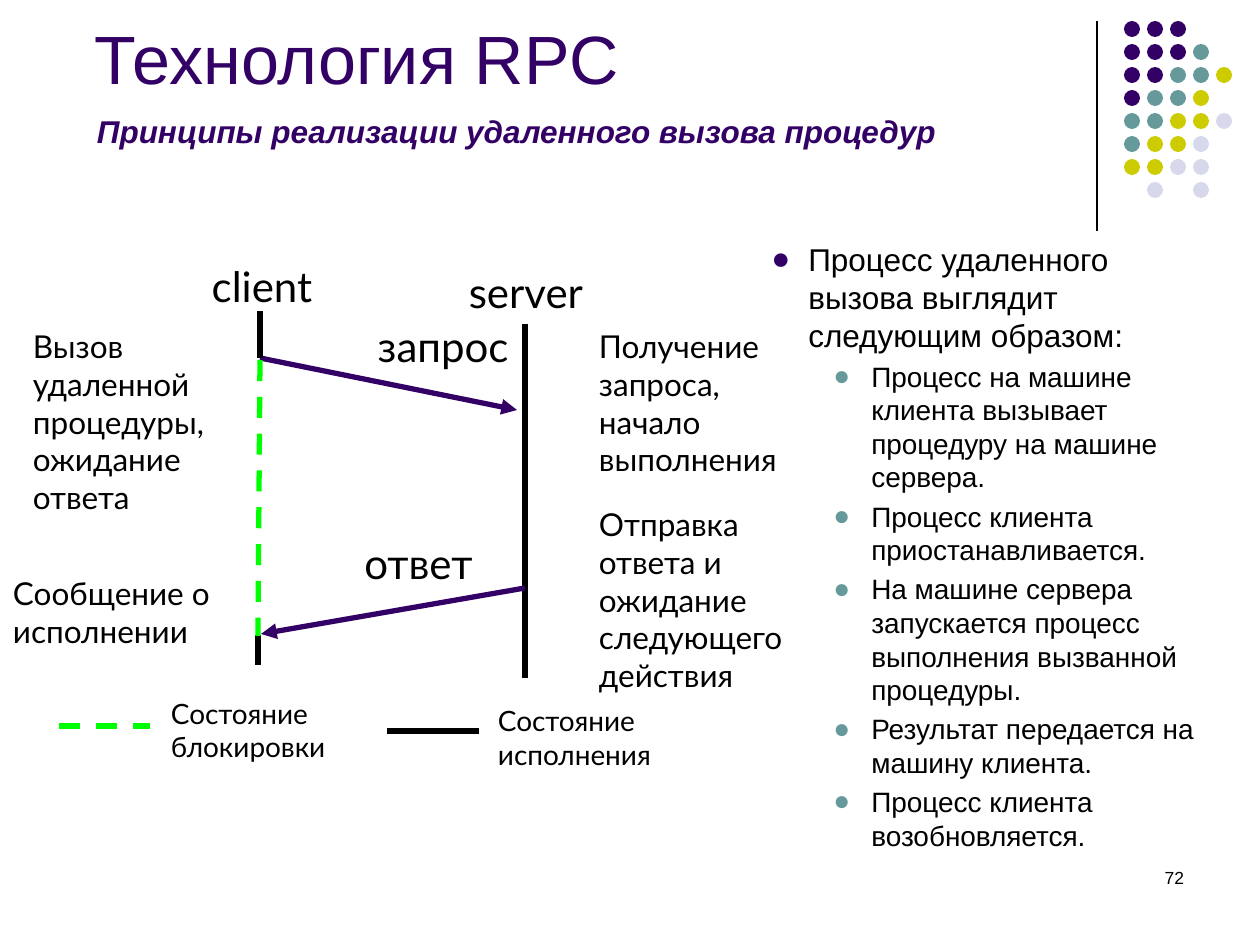
from dataclasses import dataclass

from lxml.etree import SubElement
from pptx import Presentation
from pptx.dml.color import RGBColor
from pptx.enum.dml import MSO_LINE_DASH_STYLE as Dash
from pptx.enum.shapes import MSO_CONNECTOR as Connector
from pptx.enum.shapes import MSO_SHAPE as Shape
from pptx.enum.text import MSO_ANCHOR as Anchor
from pptx.enum.text import MSO_AUTO_SIZE as AutoSize
from pptx.enum.text import PP_ALIGN as Align
from pptx.oxml.ns import qn
from pptx.slide import Slide
from pptx.text.text import _Paragraph as Paragraph
from pptx.util import Emu, Pt

PX_PER_INCH = 126
INSET_X, INSET_Y = 13, 6


@dataclass(frozen=True)
class Theme:
    purple: str = "330066"
    teal: str = "669999"
    olive: str = "CCCC00"
    lilac: str = "D8D8EC"
    green: str = "00FF00"
    black: str = "000000"
    heading_font: str = "Arial"
    diagram_font: str = "Lato"
    title_size: int = 39
    name_size: int = 24
    text_size: int = 18
    small_size: int = 16
    number_size: int = 10
    rule_width: float = 0.75
    line_width: float = 3
    item_gap: float = 3.2


THEME = Theme()


@dataclass(frozen=True)
class Style:
    size: int
    font: str = THEME.diagram_font
    color: str = THEME.black
    bold: bool = False
    italic: bool = False
    align: Align = Align.LEFT


@dataclass(frozen=True)
class Label:
    left: int
    top: int
    width: int
    height: int
    text: str
    style: Style
    anchor: Anchor = Anchor.TOP
    grow: bool = True
    inset_left: int = INSET_X


@dataclass(frozen=True)
class Line:
    x1: int
    y1: int
    x2: int
    y2: int
    color: str = THEME.black
    width: float = THEME.line_width
    dashed: bool = False
    arrow: bool = False


@dataclass(frozen=True)
class Bullet:
    level: int
    text: str


@dataclass(frozen=True)
class BulletLevel:
    margin: int
    hanging: int
    color: str
    style: Style
    space_before: float


TITLE = Style(THEME.title_size, THEME.heading_font, THEME.purple)
SUBTITLE = Style(THEME.text_size, THEME.heading_font, THEME.purple, True, True)
NUMBER = Style(THEME.number_size, THEME.heading_font, align=Align.RIGHT)
NAME = Style(THEME.name_size, align=Align.CENTER)
EVENT = Style(THEME.text_size)
LEGEND = Style(THEME.small_size)

DOT_COLORS = {"P": THEME.purple, "T": THEME.teal, "Y": THEME.olive, "L": THEME.lilac}
DOT_ROWS = ("PPP", "PPPT", "PPTTY", "PTTY", "TTYYL", "TYYL", "YYLL", "-L-L")
DOT_LEFT, DOT_TOP, DOT_PITCH, DOT_SIZE = 1124, 21, 23, 16

LABELS = (
    Label(903, 861, 294, 63, "72", NUMBER, grow=False),
    Label(63, 16, 1040, 88, "Технология RPC", TITLE, Anchor.BOTTOM, False, 32),
    Label(84, 106, 867, 50, "Принципы реализации удаленного вызова процедур", SUBTITLE),
    Label(158, 690, 190, 81, "Состояние блокировки", LEGEND),
    Label(485, 698, 190, 81, "Состояние исполнения", LEGEND),
    Label(173, 255, 178, 63, "client", NAME),
    Label(437, 261, 178, 63, "server", NAME),
    Label(334, 315, 218, 63, "запрос", NAME),
    Label(315, 532, 207, 63, "ответ", NAME),
    Label(20, 321, 208, 202, "Вызов удаленной процедуры, ожидание ответа", EVENT),
    Label(586, 321, 219, 164, "Получение запроса, начало выполнения", EVENT),
    Label(586, 499, 218, 202, "Отправка ответа и ожидание следующего действия", EVENT),
    Label(0, 568, 233, 88, "Сообщение о исполнении", EVENT),
)

LINES = (
    Line(1097, 21, 1097, 231, width=THEME.rule_width),
    Line(59, 726, 150, 726, THEME.green, dashed=True),
    Line(387, 731, 479, 731),
    Line(525, 324, 525, 678),
    Line(260, 358, 517, 410, THEME.purple, arrow=True),
    Line(260, 311, 260, 358),
    Line(258, 635, 258, 665),
    Line(260, 360, 258, 636, THEME.green, dashed=True),
    Line(525, 588, 261, 634, THEME.purple, arrow=True),
)

BULLET_LEVELS = (
    BulletLevel(37, 37, THEME.purple, Style(THEME.text_size, THEME.heading_font), 0),
    BulletLevel(100, 38, THEME.teal, Style(THEME.small_size, THEME.heading_font), THEME.item_gap),
)

BULLETS = (
    Bullet(0, "Процесс удаленного вызова выглядит следующим образом:"),
    Bullet(1, "Процесс на машине клиента вызывает процедуру на машине сервера."),
    Bullet(1, "Процесс клиента приостанавливается."),
    Bullet(1, "На машине сервера запускается процесс выполнения вызванной процедуры."),
    Bullet(1, "Результат передается на машину клиента."),
    Bullet(1, "Процесс клиента возобновляется."),
)


def px(length: int) -> Emu:
    return Emu(round(length * 914400 / PX_PER_INCH))


def rgb(color: str) -> RGBColor:
    return RGBColor.from_string(color)


def format_paragraph(para: Paragraph, style: Style) -> None:
    para.alignment = style.align
    for span in para.runs:
        font = span.font
        font.name, font.size = style.font, Pt(style.size)
        font.bold, font.italic = style.bold, style.italic
        font.color.rgb = rgb(style.color)


def add_label(page: Slide, label: Label) -> None:
    box = page.shapes.add_textbox(*map(px, (label.left, label.top, label.width, label.height)))
    frame = box.text_frame
    frame.text = label.text
    frame.word_wrap = True
    frame.auto_size = AutoSize.SHAPE_TO_FIT_TEXT if label.grow else AutoSize.NONE
    frame.vertical_anchor = label.anchor
    frame.margin_left, frame.margin_right = px(label.inset_left), px(INSET_X)
    frame.margin_top = frame.margin_bottom = px(INSET_Y)
    format_paragraph(frame.paragraphs[0], label.style)


def add_line(page: Slide, line: Line) -> None:
    ends = map(px, (line.x1, line.y1, line.x2, line.y2))
    connector = page.shapes.add_connector(Connector.STRAIGHT, *ends)
    connector.line.color.rgb = rgb(line.color)
    connector.line.width = Pt(line.width)
    if line.dashed:
        connector.line.dash_style = Dash.DASH
    if line.arrow:
        SubElement(connector.line._get_or_add_ln(), qn("a:tailEnd"), type="triangle")
    SubElement(connector._element.spPr, qn("a:effectLst"))


def add_dots(page: Slide) -> None:
    for row, codes in enumerate(DOT_ROWS):
        for column, code in enumerate(codes):
            if code not in DOT_COLORS:
                continue
            left, top = DOT_LEFT + column * DOT_PITCH, DOT_TOP + row * DOT_PITCH
            dot = page.shapes.add_shape(Shape.OVAL, *map(px, (left, top, DOT_SIZE, DOT_SIZE)))
            dot.shadow.inherit = False
            dot.fill.solid()
            dot.fill.fore_color.rgb = rgb(DOT_COLORS[code])
            dot.line.fill.background()


def add_bullets(page: Slide) -> None:
    frame = page.shapes.add_textbox(*map(px, (759, 234, 467, 655))).text_frame
    frame.word_wrap = True
    frame.text = "\n".join(bullet.text for bullet in BULLETS)
    for para, bullet in zip(frame.paragraphs, BULLETS):
        level = BULLET_LEVELS[bullet.level]
        para.level = bullet.level
        para.space_before = Pt(level.space_before)
        properties = para._p.get_or_add_pPr()
        properties.set("marL", str(px(level.margin)))
        properties.set("indent", str(-px(level.hanging)))
        SubElement(SubElement(properties, qn("a:buClr")), qn("a:srgbClr"), val=level.color)
        SubElement(properties, qn("a:buFont"), typeface=THEME.heading_font)
        SubElement(properties, qn("a:buChar"), char="●")
        format_paragraph(para, level.style)


def main() -> None:
    deck = Presentation()
    deck.slide_width, deck.slide_height = px(1260), px(945)
    page = deck.slides.add_slide(deck.slide_layouts[6])
    add_dots(page)
    for line in LINES:
        add_line(page, line)
    for label in LABELS:
        add_label(page, label)
    add_bullets(page)
    deck.save("out.pptx")


if __name__ == "__main__":
    main()
